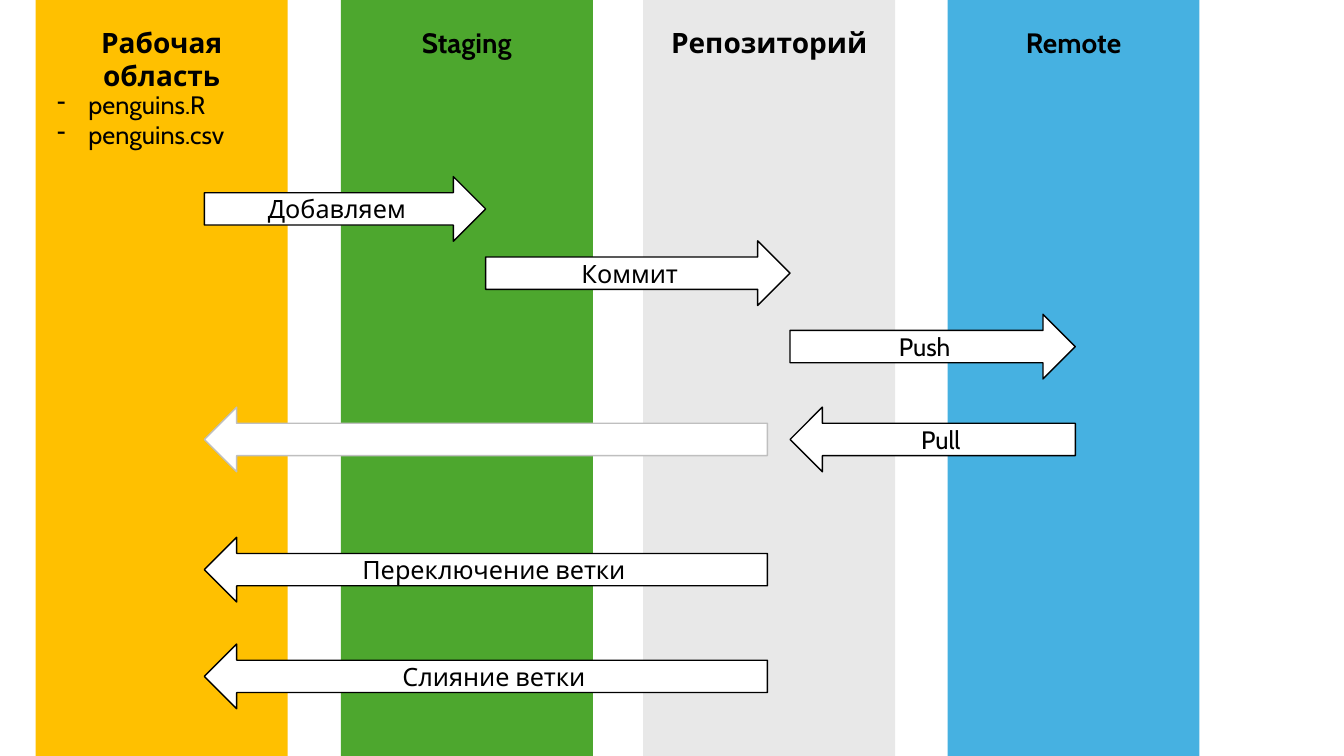
import pptx
import pptx.dml.color
import pptx.enum.shapes
import pptx.enum.text
import pptx.oxml
import pptx.oxml.ns
import pptx.util

Cm = pptx.util.Cm
Shape = pptx.enum.shapes.MSO_SHAPE
Align = pptx.enum.text.PP_ALIGN

COLORS = {
    "workspace": "FFC000",
    "staging": "4DA72E",
    "repository": "E8E8E8",
    "remote": "46B1E1",
    "white": "FFFFFF",
    "black": "000000",
    "muted": "BFBFBF",
}
SLIDE_WIDTH, SLIDE_HEIGHT = 33.87, 19.05
COLUMN_WIDTH = 6.35
ARROW_HEIGHT = 1.63


def color(name):
    return pptx.dml.color.RGBColor.from_string(COLORS[name])


def write_text(paragraph, text, size=18, bold=False, align=Align.LEFT, bullet=None, indent=0.79):
    if bullet:
        properties = paragraph._p.get_or_add_pPr()
        properties.set("marL", str(Cm(indent)))
        properties.set("indent", str(-Cm(indent)))
        mark = pptx.oxml.parse_xml(
            f'<a:buChar {pptx.oxml.ns.nsdecls("a")} char="{bullet}"/>')
        properties.append(mark)
    paragraph.alignment = align
    run = paragraph.add_run()
    run.text = text
    run.font.name = "Cabin"
    run.font.size = pptx.util.Pt(size)
    run.font.bold = bold
    run.font.color.rgb = color("black")


class WorkflowSlide:
    def __init__(self, presentation):
        self.slide = presentation.slides.add_slide(presentation.slide_layouts[6])

    def shape(self, shapes, kind, left, top, width, height, fill, line=None):
        shape = shapes.add_shape(kind, Cm(left), Cm(top), Cm(width), Cm(height))
        shape.shadow.inherit = False
        shape.fill.solid()
        shape.fill.fore_color.rgb = color(fill)
        if line:
            shape.line.color.rgb = color(line)
            shape.line.width = pptx.util.Pt(1)
        else:
            shape.line.fill.background()
        return shape

    def text_box(self, shapes, left, top, width, height, lines, wrap=True, **style):
        box = shapes.add_textbox(Cm(left), Cm(top), Cm(width), Cm(height))
        frame = box.text_frame
        frame.word_wrap = wrap
        frame.auto_size = pptx.enum.text.MSO_AUTO_SIZE.SHAPE_TO_FIT_TEXT
        for index, line in enumerate(lines):
            paragraph = frame.add_paragraph() if index else frame.paragraphs[0]
            write_text(paragraph, line, **style)

    def column(self, left, title, fill):
        shapes = self.slide.shapes.add_group_shape().shapes
        self.shape(shapes, Shape.RECTANGLE, left, 0, COLUMN_WIDTH, SLIDE_HEIGHT, fill)
        self.text_box(shapes, left, 0.51, COLUMN_WIDTH, 1.11, [title],
                      size=20, bold=True, align=Align.CENTER)

    def arrow(self, start, end, top, label, line="black"):
        kind = Shape.RIGHT_ARROW if end > start else Shape.LEFT_ARROW
        shape = self.shape(self.slide.shapes, kind, min(start, end), top,
                           abs(end - start), ARROW_HEIGHT, "white", line)
        if label:
            frame = shape.text_frame
            frame.vertical_anchor = pptx.enum.text.MSO_ANCHOR.MIDDLE
            write_text(frame.paragraphs[0], label, align=Align.CENTER)


def main():
    presentation = pptx.Presentation()
    presentation.slide_width = Cm(SLIDE_WIDTH)
    presentation.slide_height = Cm(SLIDE_HEIGHT)
    workflow = WorkflowSlide(presentation)

    for left, title, fill in [
        (0.9, "Рабочая область", "workspace"),
        (8.59, "Staging", "staging"),
        (16.21, "Репозиторий", "repository"),
        (23.88, "Remote", "remote"),
    ]:
        workflow.column(left, title, fill)

    workflow.text_box(workflow.slide.shapes, 1.19, 2.13, 4.93, 1.8,
                      ["penguins.R", "penguins.csv"], wrap=False, bullet="-")

    workspace, staging, repository, remote = 5.15, 12.24, 19.91, 27.1
    checkout = 19.34
    for start, end, top, label, line in [
        (workspace, staging, 4.45, "Добавляем", "black"),
        (staging, repository, 6.07, "Коммит", "black"),
        (repository, remote, 7.92, "Push", "black"),
        (checkout, workspace, 10.26, "", "muted"),
        (remote, repository, 10.26, "Pull", "black"),
        (checkout, workspace, 13.54, "Переключение ветки", "black"),
        (checkout, workspace, 16.23, "Слияние ветки", "black"),
    ]:
        workflow.arrow(start, end, top, label, line)

    presentation.save("out.pptx")


if __name__ == "__main__":
    main()
